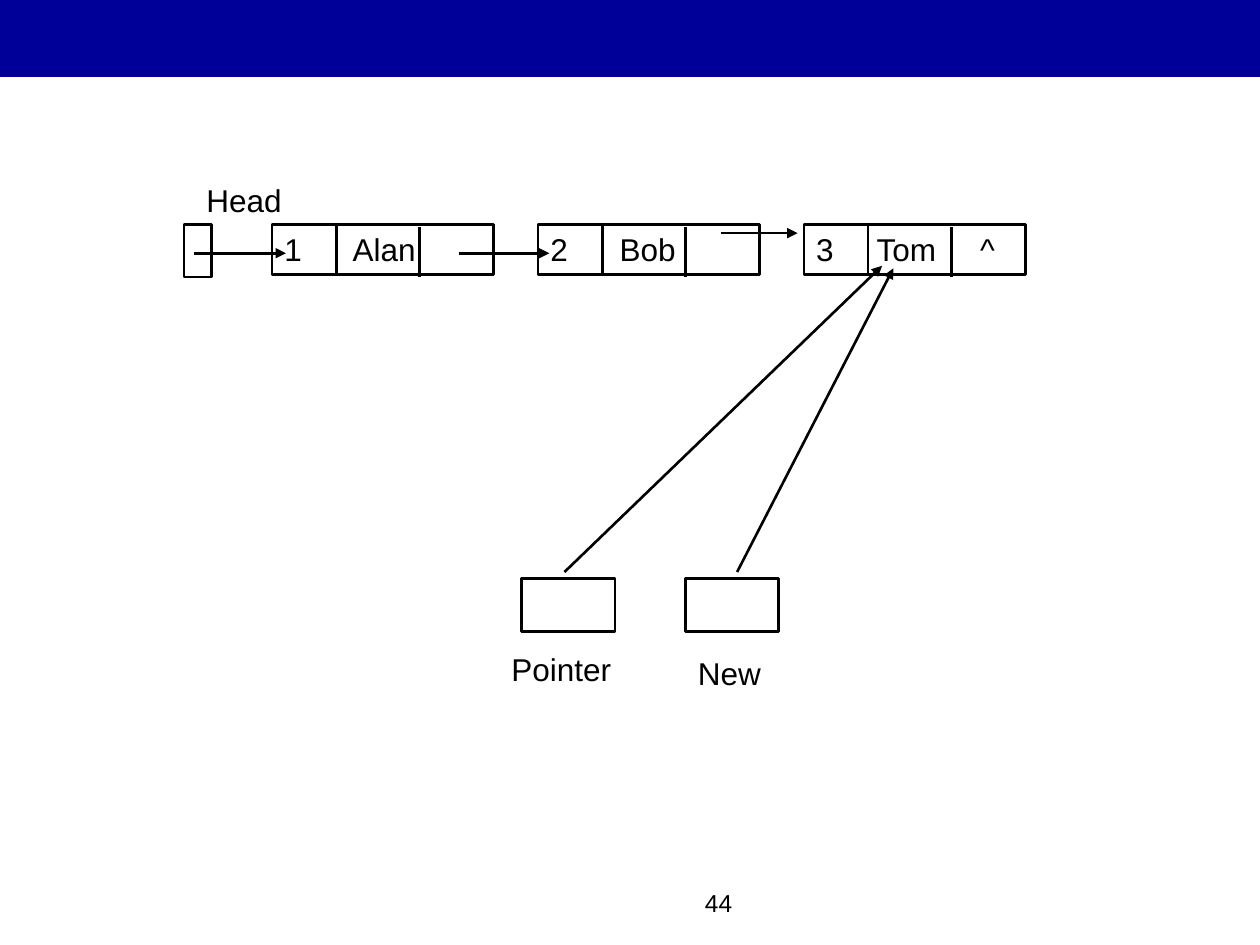
from lxml import etree
from pptx import Presentation
from pptx.dml.color import RGBColor
from pptx.enum.shapes import MSO_CONNECTOR, MSO_SHAPE
from pptx.enum.text import MSO_ANCHOR, PP_ALIGN
from pptx.oxml.ns import qn
from pptx.util import Inches, Pt

RECT = MSO_SHAPE.RECTANGLE
LINE = MSO_CONNECTOR.STRAIGHT
TOP = MSO_ANCHOR.TOP
LEFT, RIGHT = PP_ALIGN.LEFT, PP_ALIGN.RIGHT
INK, NAVY = "000000", "000099"
ROW = 1.78
NODES = [
    (2.16, "1\tAlan", [0.54]),
    (4.27, "2\tBob", [0.55]),
    (6.38, "3\tTom\t^", [0.48, 1.3]),
]
CELLS = [(1.46, ROW, 0.22), (4.14, 4.59, 0.74), (5.44, 4.59, 0.74)]
LABELS = [
    ("Head", 1.54, 1.39, 0.85),
    ("Pointer", 3.96, 5.11, 1.2),
    ("New", 5.44, 5.14, 0.75),
]
ARROWS = [
    (1.54, 2.01, 2.27, 2.01),
    (3.64, 2.01, 4.36, 2.01),
    (5.72, 1.85, 6.33, 1.85),
    (4.48, 4.54, 7, 2.11),
    (5.85, 4.54, 7.09, 2.13),
]


def color(code):
    return RGBColor.from_string(code)


def apply(item, values):
    for name, value in values.items():
        setattr(item, name, value)


def write(shape, text, align=LEFT, size=18, stops=()):
    frame = shape.text_frame
    apply(frame, {"word_wrap": True, "vertical_anchor": TOP})
    para = frame.paragraphs[0]
    para.text = text
    para.alignment = align
    if stops:
        tabs = etree.SubElement(para._p.get_or_add_pPr(), qn("a:tabLst"))
        for stop in stops:
            etree.SubElement(tabs, qn("a:tab"), pos=str(Inches(stop)), algn="l")
    apply(para.font, {"name": "Arial", "size": Pt(size)})
    para.font.color.rgb = color(INK)


def add_box(slide, x, y, w, h, fill=None):
    box = slide.shapes.add_shape(RECT, *map(Inches, (x, y, w, h)))
    box.shadow.inherit = False
    if fill:
        box.fill.solid()
        box.fill.fore_color.rgb = color(fill)
        box.line.fill.background()
    else:
        box.fill.background()
        box.line.color.rgb = color(INK)
        box.line.width = Pt(1.5)
    return box


def add_line(slide, x1, y1, x2, y2, arrow=False):
    line = slide.shapes.add_connector(LINE, *map(Inches, (x1, y1, x2, y2)))
    line.line.color.rgb = color(INK)
    line.line.width = Pt(1.5)
    if arrow:
        etree.SubElement(line.line._get_or_add_ln(), qn("a:tailEnd"), type="triangle")
    etree.SubElement(line._element.spPr, qn("a:effectLst"))


def add_label(slide, text, x, y, w, h=0.4, **style):
    label = slide.shapes.add_textbox(*map(Inches, (x, y, w, h)))
    write(label, text, **style)


def add_node(slide, x, text, stops):
    node = add_box(slide, x, ROW, 1.76, 0.4)
    write(node, text, stops=stops)
    add_line(slide, x + 0.51, ROW, x + 0.51, 2.17)
    add_line(slide, x + 1.17, 1.8, x + 1.17, 2.2)


def main():
    deck = Presentation()
    apply(deck, {"slide_width": Inches(10), "slide_height": Inches(7.5)})
    slide = deck.slides.add_slide(deck.slide_layouts[6])
    add_box(slide, 0, 0, 10, 0.61, NAVY)
    add_label(slide, "44", 3.83, 7, 2.08, 0.5, align=RIGHT, size=14)
    for x, y, w in CELLS:
        add_box(slide, x, y, w, 0.42)
    for node in NODES:
        add_node(slide, *node)
    for label in LABELS:
        add_label(slide, *label)
    for ends in ARROWS:
        add_line(slide, *ends, arrow=True)
    deck.save("out.pptx")


if __name__ == "__main__":
    main()
